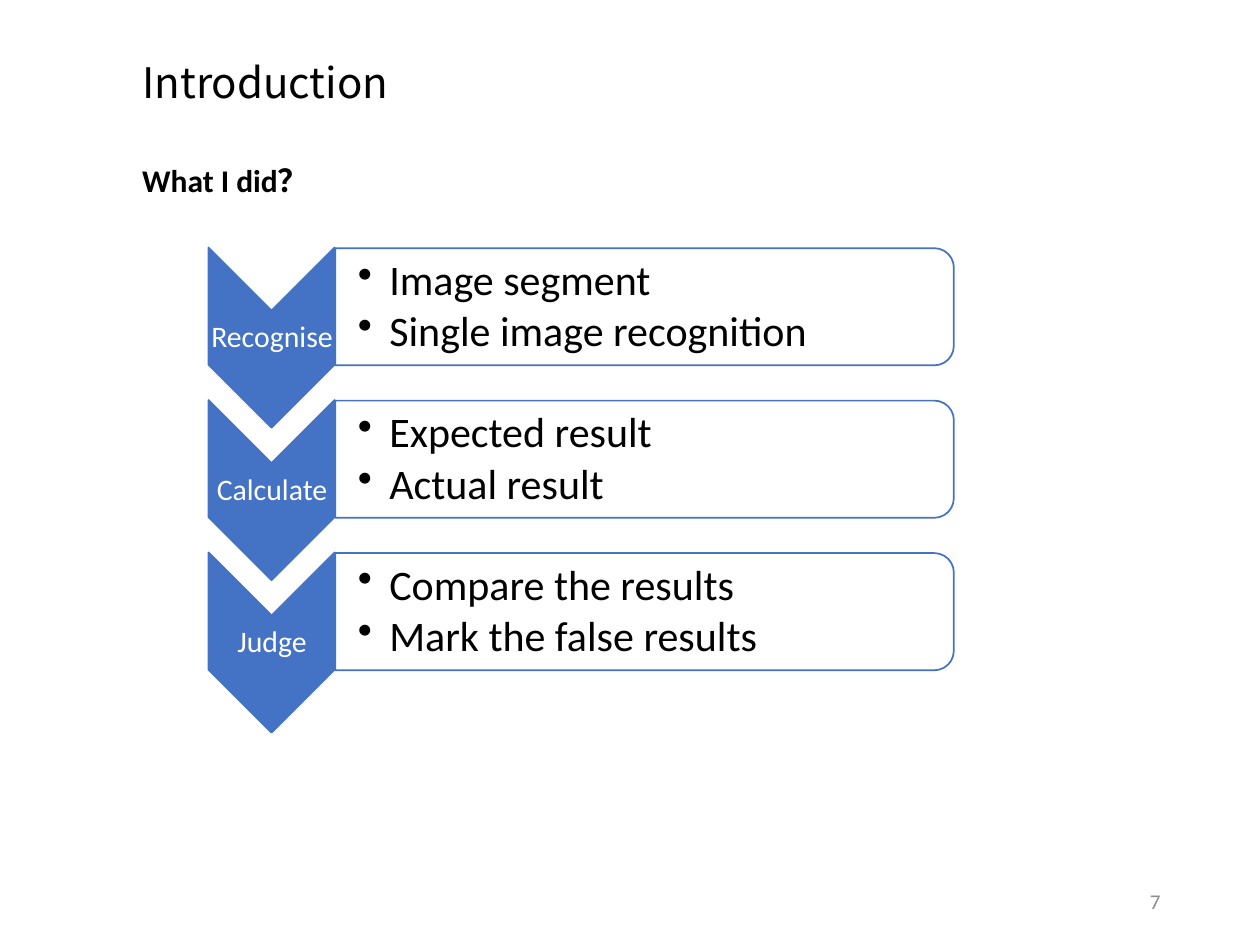
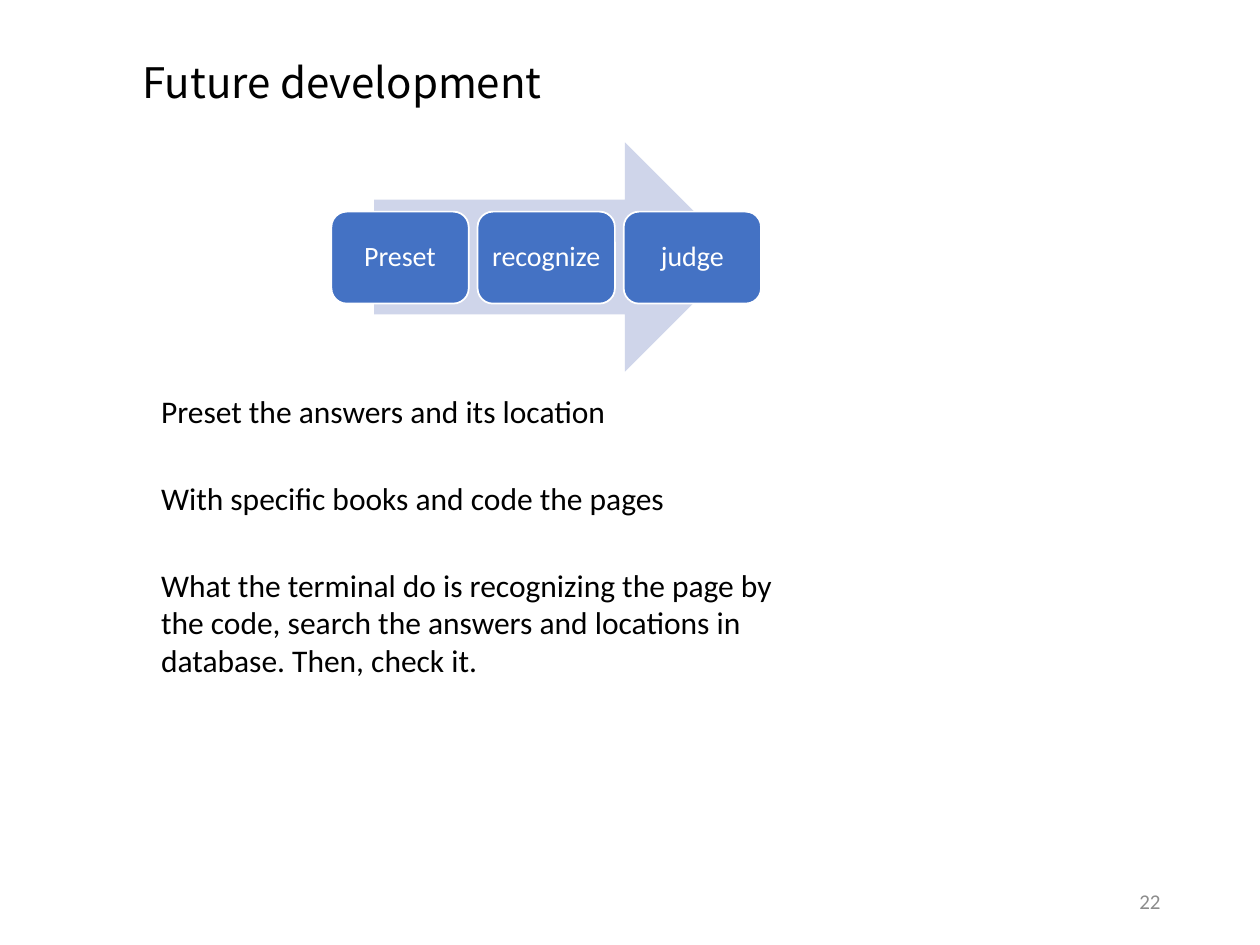
from dataclasses import dataclass

from lxml import etree
from pptx import Presentation
from pptx.dml.color import RGBColor
from pptx.enum import shapes, text
from pptx.oxml.ns import qn
from pptx import util as u

PX = 9144
LEFT, CENTER, RIGHT = text.PP_ALIGN.LEFT, text.PP_ALIGN.CENTER, text.PP_ALIGN.RIGHT
TOP, MIDDLE = text.MSO_ANCHOR.TOP, text.MSO_ANCHOR.MIDDLE
Shape = shapes.MSO_SHAPE


@dataclass(frozen=True)
class Theme:
    blue: str = "4472C4"
    pale: str = "CFD5EA"
    white: str = "FFFFFF"
    black: str = "000000"
    gray: str = "8C8C8C"
    title_font: str = "Noto Sans CJK SC"
    body_font: str = "Calibri"
    large: int = 24
    body: int = 18
    step: int = 17
    stage: int = 16
    footer: int = 12


THEME = Theme()


def write_text(box, content, size=THEME.body, color=THEME.black, font=THEME.body_font,
               bold=False, align=LEFT, anchor=TOP, insets=(10, 5, 10, 5),
               line_spacing=1.0, space_after=0, bullet=None):
    frame = box.text_frame
    frame.auto_size = text.MSO_AUTO_SIZE.NONE
    frame.word_wrap = True
    frame.vertical_anchor = anchor
    frame.margin_left, frame.margin_top, frame.margin_right, frame.margin_bottom = (
        inset * PX for inset in insets)
    frame.text = content
    for para in frame.paragraphs:
        if bullet:
            properties = para._p.get_or_add_pPr()
            properties.set("marL", str(25 * PX))
            properties.set("indent", str(-25 * PX))
            etree.SubElement(properties, qn("a:buChar")).set("char", bullet)
        para.alignment = align
        para.line_spacing = line_spacing
        para.space_after = u.Pt(space_after)
        for span in para.runs:
            span.font.size = u.Pt(size)
            span.font.name = font
            span.font.bold = bold
            span.font.color.rgb = RGBColor.from_string(color)


class Slides:
    def __init__(self, theme):
        self.theme = theme
        self.deck = Presentation()
        self.deck.slide_width, self.deck.slide_height = 1000 * PX, 750 * PX
        self.page = None

    def start(self, title, number):
        self.page = self.deck.slides.add_slide(self.deck.slide_layouts[5])
        box = self.page.shapes.title
        box.left, box.top, box.width, box.height = (n * PX for n in (103, 32, 862, 70))
        write_text(box, title, size=self.theme.large, font=self.theme.title_font,
                   anchor=MIDDLE, line_spacing=0.9)
        self.label(str(number), 706, 695, 225, 40, size=self.theme.footer,
                   color=self.theme.gray, align=RIGHT, anchor=MIDDLE)

    def label(self, content, left, top, width, height, **style):
        box = self.page.shapes.add_textbox(left * PX, top * PX, width * PX, height * PX)
        write_text(box, content, **style)

    def shape(self, kind, left, top, width, height, fill, line=None, rotation=0):
        box = self.page.shapes.add_shape(kind, left * PX, top * PX, width * PX, height * PX)
        box.shadow.inherit = False
        box.rotation = rotation
        box.fill.solid()
        box.fill.fore_color.rgb = RGBColor.from_string(fill)
        if line:
            box.line.color.rgb = RGBColor.from_string(line)
            box.line.width = u.Pt(1)
        else:
            box.line.fill.background()
        return box

    def step(self, name, details, top):
        theme = self.theme
        self.shape(Shape.CHEVRON, 144, top + 16, 143, 100, theme.blue, theme.blue, 90)
        self.label(name, 166, top + 45, 100, 43, size=theme.step, color=theme.white,
                   align=CENTER, anchor=MIDDLE, insets=(1, 1, 1, 1), line_spacing=0.9)
        self.shape(Shape.ROUND_2_SAME_RECTANGLE, 465, top - 204, 93, 491,
                   theme.white, theme.blue, 90)
        self.label("\n".join(details), 265, top, 487, 84, size=theme.large,
                   anchor=MIDDLE, insets=(19, 2, 2, 2), line_spacing=0.9,
                   space_after=3.6, bullet="•")

    def stage(self, name, left):
        theme = self.theme
        box = self.shape(Shape.ROUNDED_RECTANGLE, left, 168, 109, 73,
                         theme.blue, theme.white)
        write_text(box, name, size=theme.stage, color=theme.white, align=CENTER,
                   anchor=MIDDLE, insets=(7, 7, 7, 7), line_spacing=0.9)


def build_introduction(slides):
    slides.start("Introduction", 7)
    slides.label("What I did？", 103, 123, 471, 71, bold=True)
    steps = {
        "Recognise": ("Image segment", "Single image recognition"),
        "Calculate": ("Expected result", "Actual result"),
        "Judge": ("Compare the results", "Mark the false results"),
    }
    for index, (name, details) in enumerate(steps.items()):
        slides.step(name, details, 202 + 121 * index)


def build_future(slides):
    slides.start("Future development", 22)
    slides.shape(Shape.RIGHT_ARROW, 297, 113, 290, 182, slides.theme.pale)
    for index, name in enumerate(("Preset", "recognize", "judge")):
        slides.stage(name, 263 + 116 * index)
    plans = (
        ("Preset the answers and its location", 40),
        ("With specific books and code the pages", 40),
        ("What the terminal do is recognizing the page by the code, search the answers "
         "and locations in database. Then, check it.", 101),
    )
    for index, (plan, height) in enumerate(plans):
        slides.label(plan, 118, 306 + 69 * index, 528, height)


def main():
    slides = Slides(THEME)
    build_introduction(slides)
    build_future(slides)
    slides.deck.save("out.pptx")


if __name__ == "__main__":
    main()
